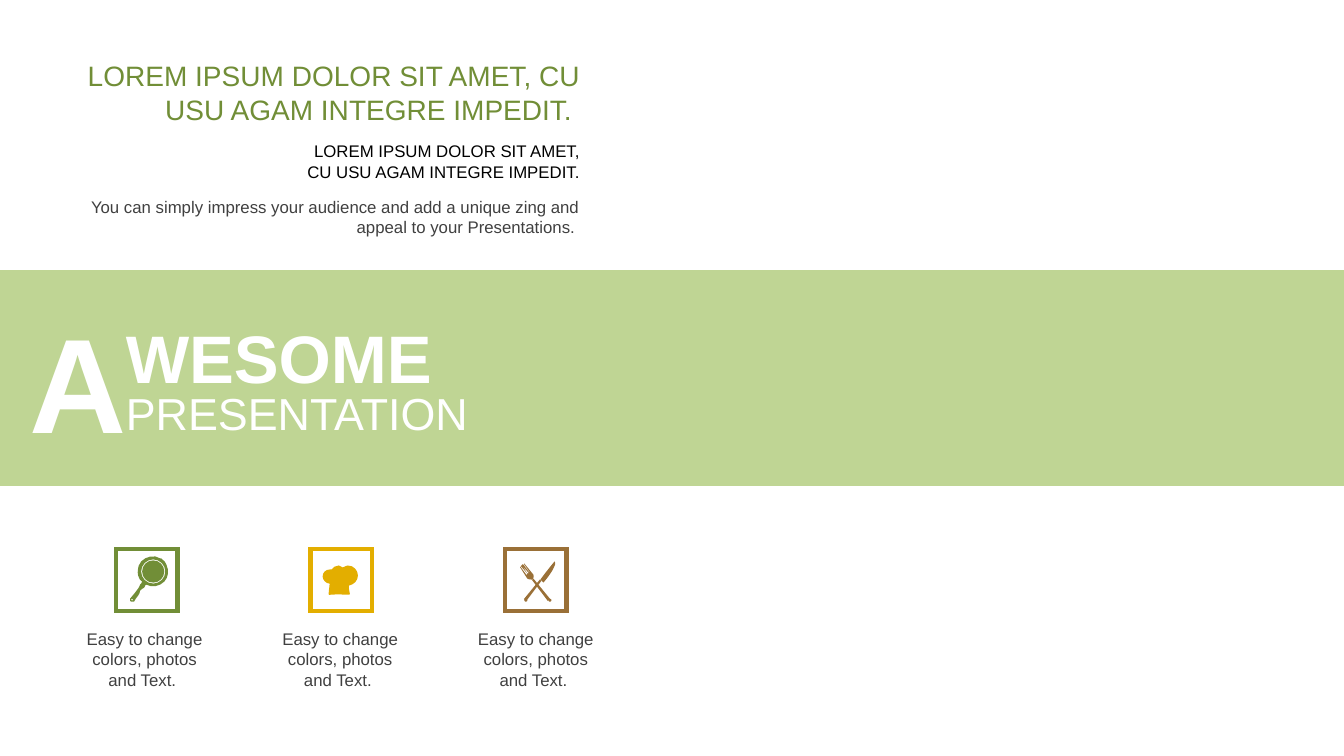
from lxml import etree
from pptx import Presentation, util as u
from pptx.dml.color import RGBColor
from pptx.enum import shapes as kinds, text as t
from pptx.oxml import ns

THEME = {
    "font": "Arial",
    "band": "BFD594", "white": "FFFFFF", "black": "000000", "body": "404040",
    "green": "718E37", "gold": "E3AE00", "brown": "9A7037",
    "initial": 96, "title": 48, "subtitle": 32, "heading": 20, "text": 12,
}

BAND = (0, 2.68, 13.33, 2.14)
TITLE = [
    (["WESOME"], (1.15, 3.15, 3.67, 0.77), "title", "white", "JUSTIFY", "MIDDLE", True),
    (["PRESENTATION"], (1.15, 3.82, 3.67, 0.54), "subtitle", "white", "JUSTIFY", "MIDDLE", False),
    (["A"], (0.19, 3.04, 1.12, 1.46), "initial", "white", "CENTER", "MIDDLE", True),
]
INTRO = [
    (["LOREM IPSUM DOLOR SIT AMET,", "CU USU AGAM INTEGRE IMPEDIT."],
     (0.61, 1.35, 5.24, 0.5), "text", "black", "RIGHT", "MIDDLE", False),
    (["LOREM IPSUM DOLOR SIT AMET, CU USU AGAM INTEGRE IMPEDIT. "],
     (0.61, 0.53, 5.24, 0.77), "heading", "green", "RIGHT", "MIDDLE", False),
    (["You can simply impress your audience and add a unique zing and appeal to your Presentations. "],
     (0.61, 1.9, 5.24, 0.5), "text", "body", "RIGHT", "TOP", False),
]
CAPTION = "Easy to change colors, photos and Text. "
FEATURES = [("green", CAPTION), ("gold", CAPTION), ("brown", CAPTION)]
FRAME_LEFT, FRAME_TOP, FRAME_SIZE, FRAME_STEP = 1.15, 5.45, 0.61, 1.93
CAPTION_LEFT, CAPTION_TOP, CAPTION_STEP = 0.75, 6.19, 1.94
CAPTION_SIZE = (1.37, 0.71)

HANDLES = [
    ("TRAPEZOID", (5.35, 5.72, 0.03, 0.26), 321.9),
    ("OVAL", (5.44, 5.94, 0.03, 0.03), 321.9),
    ("TRAPEZOID", (5.27, 5.73, 0.03, 0.25), 38.1),
    ("OVAL", (5.2, 5.94, 0.03, 0.03), 38.1),
]

# Each outline is a start point followed by lines (2 numbers) or curves (6 numbers).
FORK = [
    (5.16, 5.62), (5.22, 5.7), (5.23, 5.7), (5.23, 5.69), (5.17, 5.62), (5.17, 5.61),
    (5.18, 5.61), (5.23, 5.69), (5.24, 5.69), (5.24, 5.68), (5.18, 5.61), (5.18, 5.6),
    (5.19, 5.6), (5.25, 5.68), (5.25, 5.67), (5.2, 5.6), (5.2, 5.59), (5.29, 5.7),
    (5.3, 5.7, 5.29, 5.73, 5.29, 5.74), (5.28, 5.75),
    (5.26, 5.75, 5.24, 5.75, 5.23, 5.74), (5.16, 5.63),
]
KNIFE = [
    (5.36, 5.75), (5.37, 5.76, 5.38, 5.77, 5.39, 5.78),
    (5.46, 5.7, 5.53, 5.59, 5.5, 5.57), (5.5, 5.57, 5.41, 5.68, 5.36, 5.75),
]
PAN = [
    (1.6, 5.54), (1.6, 5.55, 1.61, 5.55, 1.61, 5.55), (1.63, 5.56, 1.64, 5.58, 1.65, 5.6),
    (1.68, 5.66, 1.67, 5.73, 1.63, 5.77), (1.58, 5.82, 1.51, 5.83, 1.45, 5.8),
    (1.44, 5.81), (1.44, 5.82, 1.43, 5.83, 1.43, 5.83), (1.41, 5.84, 1.4, 5.85, 1.39, 5.86),
    (1.39, 5.87, 1.38, 5.9, 1.37, 5.91), (1.35, 5.93, 1.34, 5.95, 1.33, 5.97),
    (1.32, 5.97, 1.32, 5.97, 1.31, 5.97), (1.3, 5.97), (1.3, 5.97, 1.29, 5.96, 1.29, 5.96),
    (1.29, 5.94), (1.31, 5.92, 1.32, 5.9, 1.34, 5.88), (1.34, 5.87, 1.37, 5.85, 1.37, 5.84),
    (1.38, 5.83, 1.38, 5.82, 1.39, 5.8), (1.39, 5.8, 1.39, 5.79, 1.4, 5.79), (1.41, 5.77),
    (1.39, 5.76, 1.38, 5.74, 1.37, 5.71), (1.37, 5.69, 1.36, 5.67, 1.37, 5.64),
    (1.37, 5.62, 1.38, 5.6, 1.39, 5.59), (1.39, 5.58, 1.4, 5.58, 1.4, 5.57),
    (1.45, 5.52, 1.53, 5.5, 1.59, 5.54),
]
PAN_CIRCLES = [(1.52, 5.67, 0.12), (1.52, 5.67, 0.11), (1.31, 5.95, 0.01)]
HAT = [
    (3.55, 5.71), (3.55, 5.66, 3.51, 5.61, 3.45, 5.61), (3.44, 5.61, 3.42, 5.62, 3.4, 5.63),
    (3.39, 5.62, 3.38, 5.61, 3.36, 5.61), (3.33, 5.61, 3.3, 5.63, 3.29, 5.65),
    (3.28, 5.65, 3.27, 5.65, 3.27, 5.65), (3.23, 5.65, 3.2, 5.68, 3.2, 5.72),
    (3.2, 5.75, 3.23, 5.79, 3.27, 5.79), (3.27, 5.82, 3.26, 5.85, 3.26, 5.89),
    (3.26, 5.9, 3.26, 5.91, 3.28, 5.9), (3.32, 5.9, 3.36, 5.89, 3.41, 5.9), (3.45, 5.9),
    (3.47, 5.9, 3.47, 5.9, 3.47, 5.89), (3.46, 5.86, 3.46, 5.83, 3.46, 5.81),
    (3.51, 5.8, 3.55, 5.76, 3.55, 5.71),
]


def color(key):
    return RGBColor.from_string(THEME[key])


def paint(shape, fill=None, line=None):
    shape.shadow.inherit = False
    if fill:
        shape.fill.solid()
        shape.fill.fore_color.rgb = color(fill)
    else:
        shape.fill.background()
    if line:
        shape.line.color.rgb = color(line)
        shape.line.width = u.Pt(3)
        stroke = shape.element.spPr.find(ns.qn("a:ln"))
        etree.SubElement(stroke, ns.qn("a:miter"), lim="800000")
    else:
        shape.line.fill.background()


def add_preset(parent, kind, box, **look):
    shape = parent.shapes.add_shape(kinds.MSO_SHAPE[kind], *map(u.Inches, box))
    paint(shape, **look)
    return shape


def add_text(parent, lines, box, size, ink, align, anchor, bold):
    frame = parent.shapes.add_textbox(*map(u.Inches, box)).text_frame
    frame.word_wrap = True
    frame.auto_size = t.MSO_AUTO_SIZE.SHAPE_TO_FIT_TEXT
    frame.vertical_anchor = t.MSO_ANCHOR[anchor]
    frame.text = "\n".join(lines)
    for paragraph in frame.paragraphs:
        paragraph.alignment = t.PP_ALIGN[align]
        for run in paragraph.runs:
            run.font.name = THEME["font"]
            run.font.size = u.Pt(THEME[size])
            run.font.bold = bold
            run.font.color.rgb = color(ink)


def circle(x, y, r):
    k = 0.55 * r
    return [
        (x + r, y), (x + r, y + k, x + k, y + r, x, y + r),
        (x - k, y + r, x - r, y + k, x - r, y),
        (x - r, y - k, x - k, y - r, x, y - r),
        (x + k, y - r, x + r, y - k, x + r, y),
    ]


def add_outline(parent, contours, fill):
    first, *others = [[tuple(map(u.Inches, segment[-2:])) for segment in c] for c in contours]
    builder = parent.shapes.build_freeform(*first[0])
    builder.add_line_segments(first[1:], close=True)
    for contour in others:
        builder.move_to(*contour[0])
        builder.add_line_segments(contour[1:], close=True)
    shape = builder.convert_to_shape()
    paint(shape, fill=fill)

    left, top = (u.Inches(min(s[axis] for c in contours for s in c)) for axis in (-2, -1))
    segments = [segment for c in contours for segment in c[1:]]
    for line, segment in zip(list(shape.element.iter(ns.qn("a:lnTo"))), segments):
        if len(segment) == 6:
            curve = etree.Element(ns.qn("a:cubicBezTo"))
            for x, y in zip(segment[::2], segment[1::2]):
                etree.SubElement(curve, ns.qn("a:pt"), x=str(u.Inches(x) - left), y=str(u.Inches(y) - top))
            line.getparent().replace(line, curve)


def main():
    deck = Presentation()
    deck.slide_width, deck.slide_height = u.Inches(13.33), u.Inches(7.5)
    slide = deck.slides.add_slide(deck.slide_layouts[6])

    add_preset(slide, "RECTANGLE", BAND, fill="band")
    title = slide.shapes.add_group_shape()
    for part in TITLE:
        add_text(title, *part)

    for i, (accent, caption) in enumerate(FEATURES):
        frame = (FRAME_LEFT + i * FRAME_STEP, FRAME_TOP, FRAME_SIZE, FRAME_SIZE)
        add_preset(slide, "RECTANGLE", frame, line=accent)
        box = (CAPTION_LEFT + i * CAPTION_STEP, CAPTION_TOP, *CAPTION_SIZE)
        add_text(slide, [caption], box, "text", "body", "CENTER", "TOP", False)

    cutlery = slide.shapes.add_group_shape()
    for kind, box, angle in HANDLES:
        handle = add_preset(cutlery, kind, box, fill="brown")
        handle.rotation = angle
        if kind == "TRAPEZOID":
            handle.adjustments[0] = 0.17
    for outline in (FORK, KNIFE):
        add_outline(cutlery, [outline], "brown")
    add_outline(slide, [PAN] + [circle(*ring) for ring in PAN_CIRCLES], "green")
    add_outline(slide, [HAT], "gold")

    for part in INTRO:
        add_text(slide, *part)
    deck.save("out.pptx")


if __name__ == "__main__":
    main()
